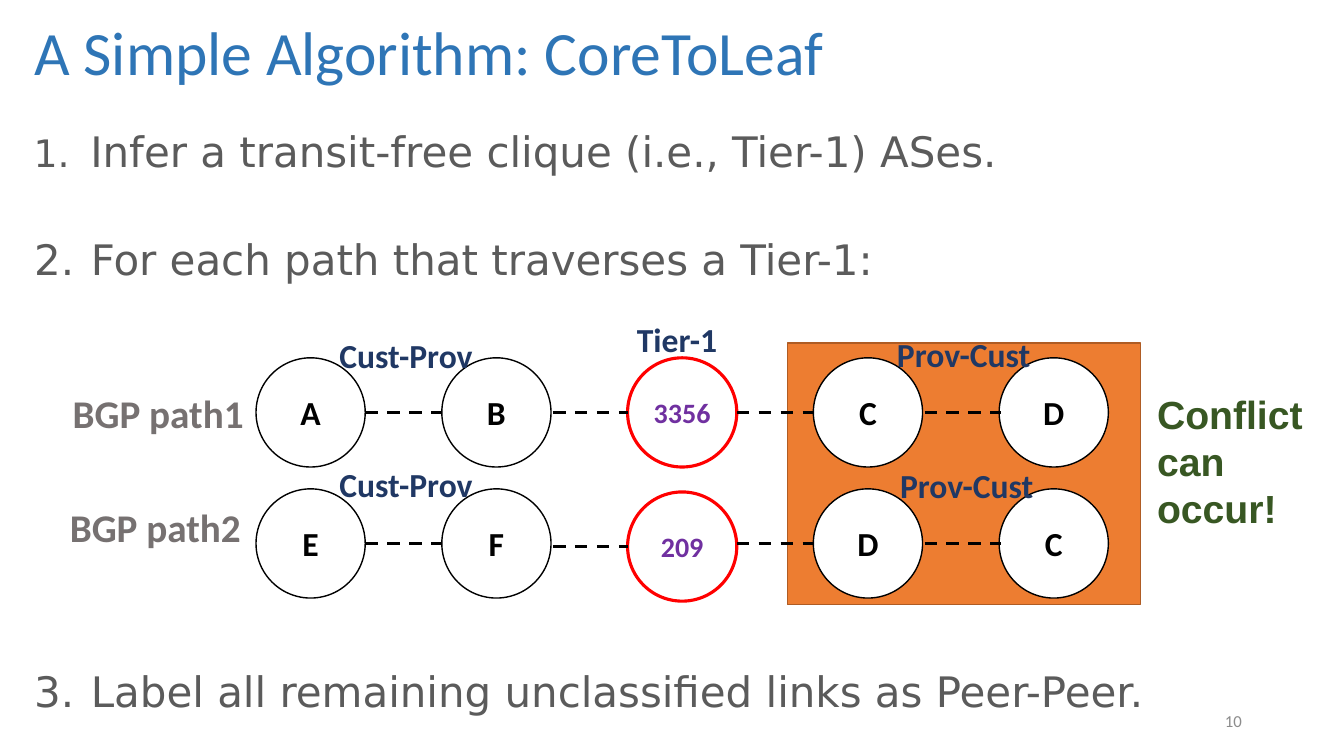
import pptx
import pptx.util
import pptx.dml.color
import pptx.enum.dml
import pptx.enum.shapes
import pptx.enum.text
import pptx.oxml.ns
import lxml.etree

Pt = pptx.util.Pt
RGB = pptx.dml.color.RGBColor
Align = pptx.enum.text.PP_ALIGN
Anchor = pptx.enum.text.MSO_ANCHOR
Shape = pptx.enum.shapes.MSO_SHAPE
qn = pptx.oxml.ns.qn

WHITE = RGB(0xFF, 0xFF, 0xFF)
BLACK = RGB(0, 0, 0)
RED = RGB(0xFF, 0, 0)
ORANGE = RGB(0xED, 0x7D, 0x31)
RUST = RGB(0xAF, 0x5C, 0x24)
BLUE = RGB(0x2E, 0x75, 0xB6)
NAVY = RGB(0x20, 0x38, 0x64)
PURPLE = RGB(0x70, 0x30, 0xA0)
GREEN = RGB(0x38, 0x57, 0x23)
GRAY = RGB(0x5B, 0x5B, 0x5B)
STONE = RGB(0x76, 0x71, 0x71)
SILVER = RGB(0x8C, 0x8C, 0x8C)

SIZE = 78       # circle diameter
LEFT = 182.9    # first circle
PITCH = 132.7   # from circle to circle
CORE = 2        # column of the Tier-1 circle


class Board:
    font = "Calibri"

    def __init__(self, slide):
        self.shapes = slide.shapes

    def add(self, para, text, size, color, bold=False, font=None):
        """Add one styled run to a paragraph."""
        run = para.add_run()
        run.text = text
        run.font.name = font or self.font
        run.font.size = Pt(size)
        run.font.bold = bold
        run.font.color.rgb = color

    def text(self, box, lines, size, color, bold=False, font=None,
             wrap=False, anchor=Anchor.TOP, align=Align.LEFT):
        frame = self.shapes.add_textbox(*map(Pt, box)).text_frame
        frame.word_wrap = wrap
        frame.vertical_anchor = anchor
        for i, line in enumerate(lines):
            para = frame.add_paragraph() if i else frame.paragraphs[0]
            para.alignment = align
            self.add(para, line, size, color, bold, font)
        return frame

    def label(self, box, text, size=24, color=NAVY):
        self.text(box, [text], size, color, bold=True)

    def step(self, box, num, text, scale=100):
        """Add one numbered step with a hanging indent."""
        frame = self.text(box, [text], 30, GRAY, font="DejaVu Sans", wrap=True)
        props = frame.paragraphs[0]._p.get_or_add_pPr()
        props.set("marL", str(Pt(40.5)))
        props.set("indent", str(-Pt(40.5)))
        lxml.etree.SubElement(props, qn("a:buSzPct"), val=str(scale * 1000))
        lxml.etree.SubElement(props, qn("a:buFont"), typeface="DejaVu Sans")
        lxml.etree.SubElement(props, qn("a:buAutoNum"),
                              type="arabicPeriod", startAt=str(num))
        return frame

    def form(self, kind, box, fill, edge, width=1):
        shape = self.shapes.add_shape(kind, *map(Pt, box))
        shape.shadow.inherit = False
        shape.fill.solid()
        shape.fill.fore_color.rgb = fill
        shape.line.color.rgb = edge
        shape.line.width = Pt(width)
        return shape

    def node(self, x, y, name, core):
        edge, width, size, color = (RED, 2.25, 20, PURPLE) if core else (BLACK, 1, 24, BLACK)
        shape = self.form(Shape.OVAL, (x, y, SIZE, SIZE), WHITE, edge, width)
        frame = shape.text_frame
        frame.margin_left = frame.margin_right = 0
        frame.vertical_anchor = Anchor.MIDDLE
        para = frame.paragraphs[0]
        para.alignment = Align.CENTER
        self.add(para, name, size, color, bold=True)

    def dash(self, start, end, y):
        link = self.shapes.add_connector(
            pptx.enum.shapes.MSO_CONNECTOR.STRAIGHT, Pt(start), Pt(y), Pt(end), Pt(y))
        link.line.color.rgb = BLACK
        link.line.width = Pt(2.25)
        link.line.dash_style = pptx.enum.dml.MSO_LINE.DASH
        lxml.etree.SubElement(link._element.spPr, qn("a:effectLst"))

    def route(self, top, names, drop):
        """Draw one BGP path; drop lowers its Tier-1 circle."""
        for i, name in enumerate(names):
            low = drop if i == CORE else 0
            self.node(LEFT + i * PITCH, top + low, name, i == CORE)
        for i in range(len(names) - 1):
            x = LEFT + i * PITCH
            low = drop if i + 1 == CORE else 0
            nudge = 1.4 * (i % 2)
            tail = 1.4 if i == 3 else 0
            self.dash(x + SIZE + nudge, x + PITCH + tail, top + low + SIZE / 2)


def main():
    deck = pptx.Presentation()
    deck.slide_width, deck.slide_height = Pt(960), Pt(540)
    board = Board(deck.slides.add_slide(deck.slide_layouts[6]))

    board.form(Shape.RECTANGLE, (562.5, 245, 252, 187), ORANGE, RUST)
    first = board.step((12.5, 86.4, 939.6, 47.5), 1,
                       "Infer a transit-free clique (i.e., Tier-1) ASes.", 90)
    first.margin_left = first.margin_right = Pt(11.5)
    first.margin_top = first.margin_bottom = Pt(7.2)
    first.paragraphs[0].line_spacing = 0.9
    title = board.text((17.3, 0, 1016.6, 67), ["A Simple Algorithm: CoreToLeaf"],
                       44, BLUE, wrap=True, anchor=Anchor.BOTTOM)
    title.paragraphs[0].line_spacing = 0.9

    board.route(255.6, ["A", "B", "3356", "C", "D"], 0)
    board.route(349.2, ["E", "F", "209", "D", "C"], 2.2)

    board.label((44.8, 274.3, 138.2, 41), "BGP path1", 28, STONE)
    board.label((42.8, 355.7, 138.2, 41), "BGP path2", 28, STONE)
    board.text((819.4, 275, 127.4, 108.7), ["Conflict", "can", "occur!"],
               28, GREEN, bold=True, font="Arial")
    board.step((17.3, 163.4, 958.3, 43.9), 2, "For each path that traverses a Tier-1:")
    board.step((17.3, 471.6, 820, 43.9), 3,
               "Label all remaining unclassified links as Peer-Peer.").word_wrap = False

    for x, y, text in [(235.4, 235.4, "Cust-Prov"), (633.6, 234.7, "Prov-Cust"),
                       (235.4, 327.6, "Cust-Prov"), (635.8, 328.3, "Prov-Cust")]:
        board.label((x, y, 110.9, 36), text)
    board.label((447.8, 223.9, 72.7, 36), "Tier-1")
    board.text((678.2, 500.4, 216, 28.8), ["10"], 12, SILVER, wrap=True,
               anchor=Anchor.MIDDLE, align=Align.RIGHT)

    deck.save("out.pptx")


if __name__ == "__main__":
    main()
